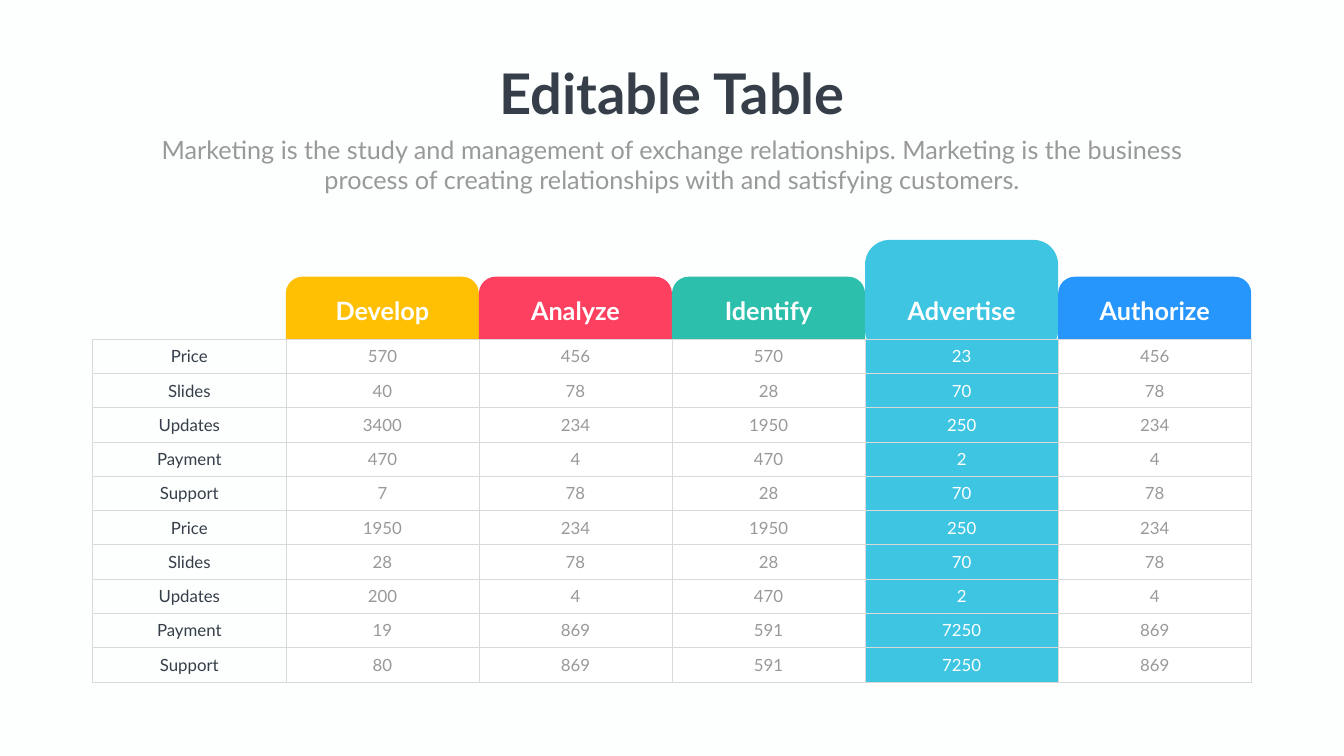
from dataclasses import dataclass

from lxml.etree import SubElement
from pptx import Presentation
from pptx.dml.color import RGBColor
from pptx.enum.shapes import MSO_SHAPE
from pptx.enum.text import MSO_ANCHOR, MSO_AUTO_SIZE, PP_ALIGN
from pptx.oxml.ns import qn
from pptx.slide import Slide
from pptx.table import _Cell
from pptx.text.text import TextFrame
from pptx.util import Inches, Pt

FONT = "Lato"
PAPER = RGBColor(0xFD, 0xFF, 0xFE)
WHITE = RGBColor(0xFF, 0xFF, 0xFF)
INK = RGBColor(0x35, 0x3E, 0x49)
GRAY = RGBColor(0x98, 0x99, 0x98)
RULE = RGBColor(0xD9, 0xD9, 0xD9)
YELLOW = RGBColor(0xFF, 0xBF, 0x03)
RED = RGBColor(0xFE, 0x40, 0x60)
GREEN = RGBColor(0x2C, 0xC0, 0xAC)
CYAN = RGBColor(0x3D, 0xC5, 0xE2)
BLUE = RGBColor(0x26, 0x96, 0xFD)

TABLE_LEFT, TABLE_TOP = 1.84, 6.73
COLUMN_WIDTH, ROW_HEIGHT = 3.83, 0.68
TAB_BOTTOM = 7.04
HEADING_WIDTH = 3.28


@dataclass(frozen=True)
class Plan:
    """A table column with its coloured tab."""

    name: str
    color: RGBColor
    values: tuple[int, ...]
    tab_top: float = 5.49
    cell_fill: RGBColor = WHITE
    cell_ink: RGBColor = GRAY


LABELS = ("Price", "Slides", "Updates", "Payment", "Support") * 2
ANALYZE_VALUES = (456, 78, 234, 4, 78, 234, 78, 4, 869, 869)
PLANS = (
    Plan("Develop", YELLOW, (570, 40, 3400, 470, 7, 1950, 28, 200, 19, 80)),
    Plan("Analyze", RED, ANALYZE_VALUES),
    Plan("Identify", GREEN, (570, 28, 1950, 470, 28, 1950, 28, 470, 591, 591)),
    Plan("Advertise", CYAN, (23, 70, 250, 2, 70, 250, 70, 2, 7250, 7250), 4.76, CYAN, WHITE),
    Plan("Authorize", BLUE, ANALYZE_VALUES),
)


def write(frame: TextFrame, text: str, size: int, color: RGBColor, bold: bool = False) -> None:
    """Fill a frame with one centred run."""
    para = frame.paragraphs[0]
    para.alignment = PP_ALIGN.CENTER
    span = para.add_run()
    span.text = text
    span.font.name = FONT
    span.font.size = Pt(size)
    span.font.bold = bold
    span.font.color.rgb = color


def add_text(page: Slide, left: float, top: float, width: float, height: float,
             text: str, size: int, color: RGBColor, bold: bool = False, wrap: bool = True) -> None:
    """Add a text box that grows with its text."""
    box = page.shapes.add_textbox(Inches(left), Inches(top), Inches(width), Inches(height))
    box.text_frame.word_wrap = wrap
    box.text_frame.auto_size = MSO_AUTO_SIZE.SHAPE_TO_FIT_TEXT
    write(box.text_frame, text, size, color, bold)


def column_left(index: int) -> float:
    """Return the left edge of a plan's column."""
    return TABLE_LEFT + COLUMN_WIDTH * (index + 1)


def add_tab(page: Slide, index: int, plan: Plan) -> None:
    """Add the rounded tab above a plan's column."""
    tab = page.shapes.add_shape(
        MSO_SHAPE.ROUNDED_RECTANGLE, Inches(column_left(index)), Inches(plan.tab_top),
        Inches(COLUMN_WIDTH), Inches(TAB_BOTTOM - plan.tab_top))
    tab.adjustments[0] = 0.214
    tab.shadow.inherit = False
    tab.fill.solid()
    tab.fill.fore_color.rgb = plan.color
    tab.line.fill.background()


def add_borders(cell: _Cell) -> None:
    """Rule all four sides of a cell."""
    properties = cell._tc.get_or_add_tcPr()
    for side in ("a:lnL", "a:lnR", "a:lnT", "a:lnB"):
        line = SubElement(properties, qn(side), w=str(Pt(1)))
        fill = SubElement(line, qn("a:solidFill"))
        SubElement(fill, qn("a:srgbClr"), val=str(RULE))


def fill_cell(cell: _Cell, text: str, ink: RGBColor, fill: RGBColor | None = None) -> None:
    """Write a ruled cell, clear when no fill is given."""
    add_borders(cell)
    if fill is None:
        cell.fill.background()
        cell.margin_left = cell.margin_right = 0
    else:
        cell.fill.solid()
        cell.fill.fore_color.rgb = fill
    cell.vertical_anchor = MSO_ANCHOR.MIDDLE
    write(cell.text_frame, text, 24, ink)


def add_plan_table(page: Slide) -> None:
    """Add the table of labels and plan values."""
    rows, columns = len(LABELS), len(PLANS) + 1
    table = page.shapes.add_table(
        rows, columns, Inches(TABLE_LEFT), Inches(TABLE_TOP),
        Inches(COLUMN_WIDTH * columns), Inches(ROW_HEIGHT * rows)).table
    table.first_row = False
    table.horz_banding = False
    for row, label in enumerate(LABELS):
        fill_cell(table.cell(row, 0), label, INK)
        for column, plan in enumerate(PLANS, start=1):
            fill_cell(table.cell(row, column), str(plan.values[row]), plan.cell_ink, plan.cell_fill)


def main() -> None:
    """Build the slide and save it."""
    deck = Presentation()
    deck.slide_width, deck.slide_height = Inches(26.66), Inches(15)
    page = deck.slides.add_slide(deck.slide_layouts[6])
    page.background.fill.solid()
    page.background.fill.fore_color.rgb = PAPER

    for index, plan in enumerate(PLANS):
        add_tab(page, index, plan)
    add_text(page, 9.65, 1.12, 7.37, 1.45, "Editable Table", 80, INK, bold=True, wrap=False)
    add_text(page, 2.92, 2.61, 20.82, 1.31,
             "Marketing is the study and management of exchange relationships. "
             "Marketing is the business process of creating relationships with "
             "and satisfying customers.", 36, GRAY)
    for index, plan in enumerate(PLANS):
        left = column_left(index) + (COLUMN_WIDTH - HEADING_WIDTH) / 2
        add_text(page, left, 5.8, HEADING_WIDTH, 0.71, plan.name, 36, WHITE, bold=True)
    add_plan_table(page)
    deck.save("out.pptx")


if __name__ == "__main__":
    main()
